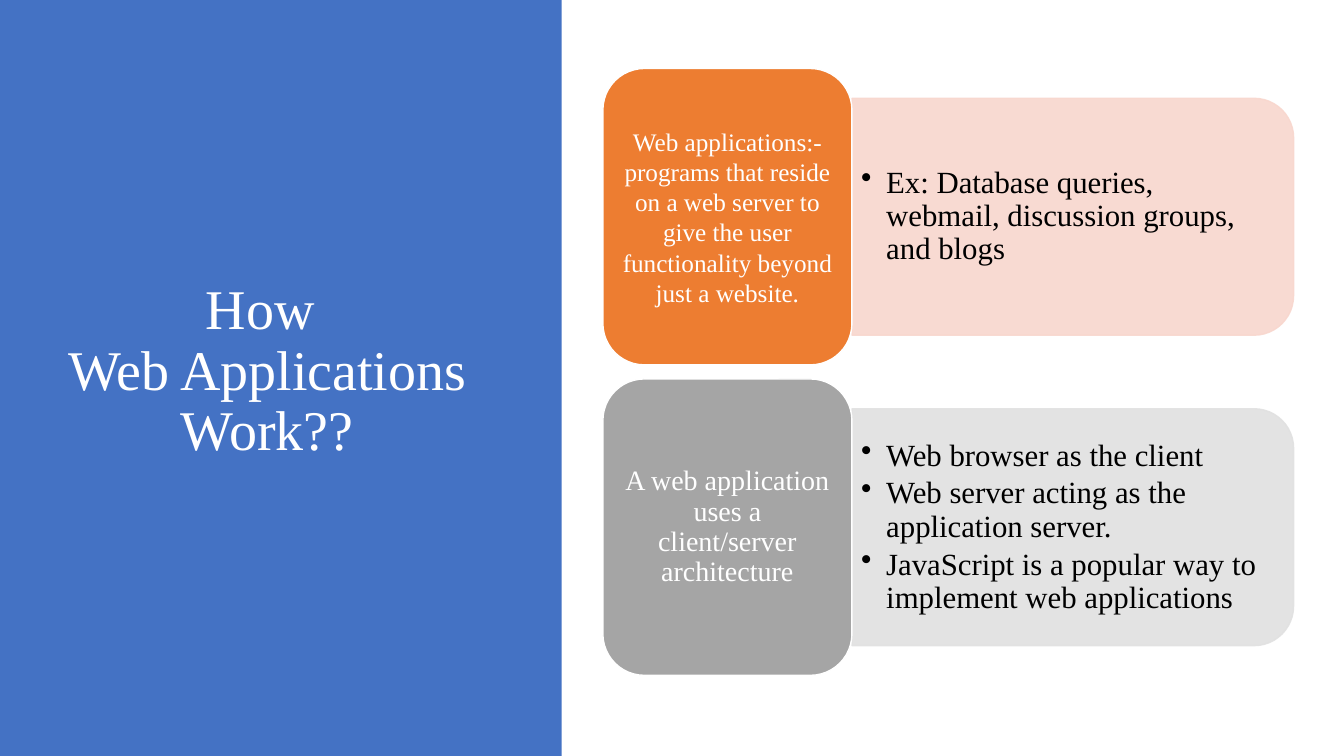
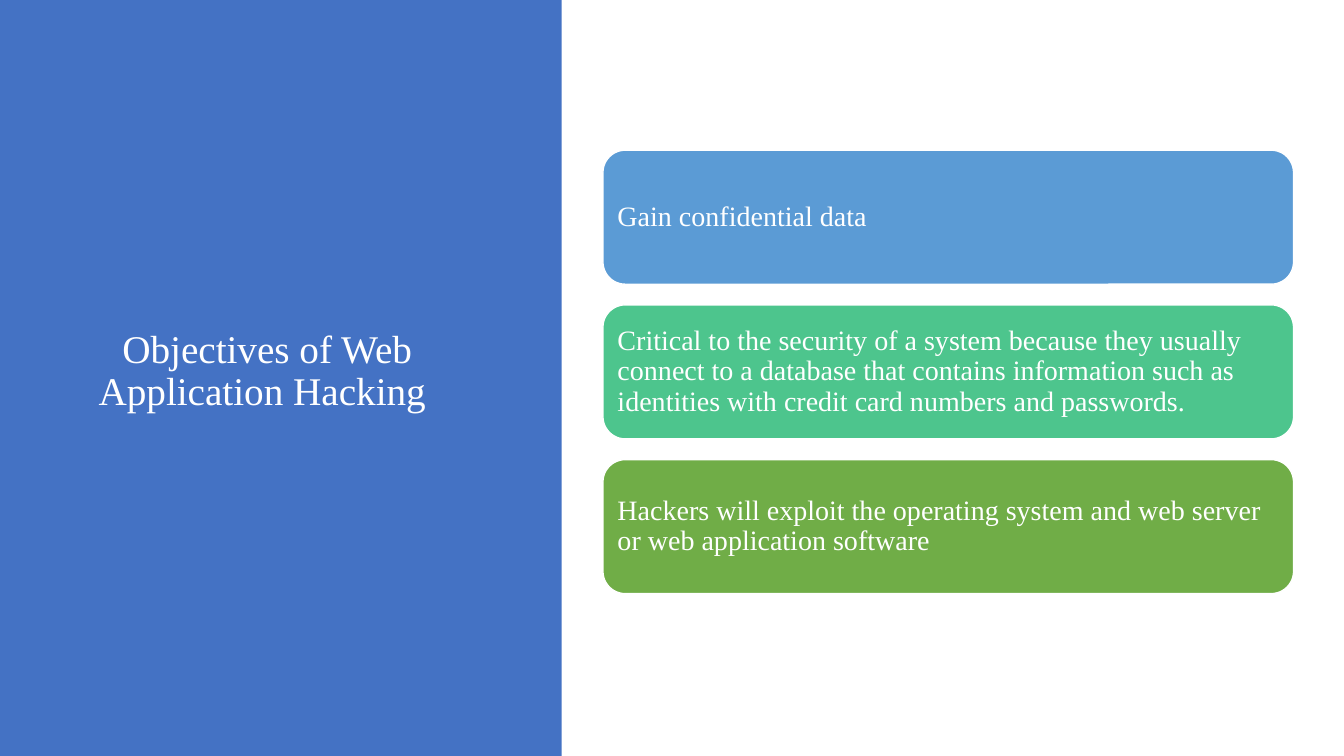
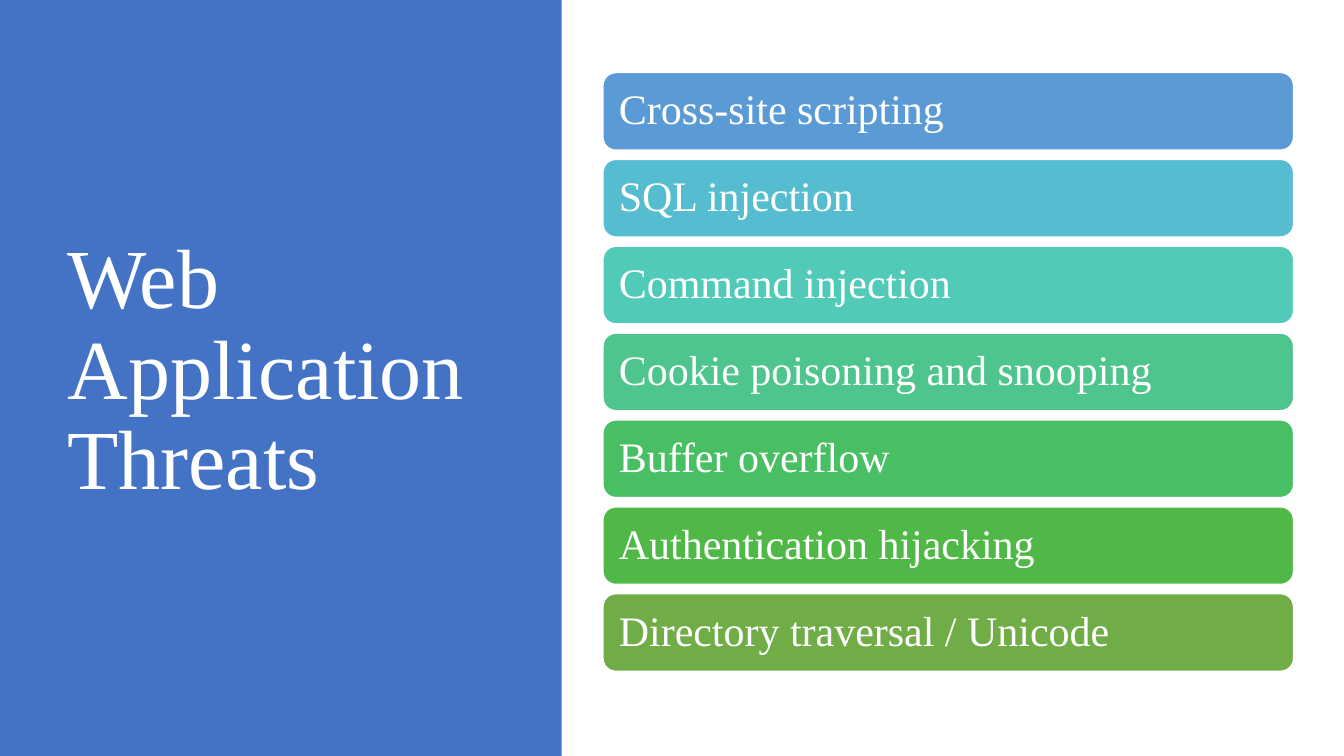
from pptx import Presentation
from pptx.dml.color import RGBColor as Rgb
from pptx.enum.shapes import MSO_SHAPE as Kind
from pptx.enum.text import MSO_ANCHOR as Anchor, PP_ALIGN as Align
from pptx.oxml.ns import qn
from pptx.util import Inches, Pt
from lxml.etree import SubElement as Sub

HUES = {
    "white": "FFFFFF", "black": "000000", "panel": "4472C4",
    "orange": "ED7D31", "peach": "F8D7CE", "gray": "A5A5A5", "silver": "E1E1E1",
    "blue": "5B9BD5", "cyan": "56BCD0", "aqua": "52CAB8", "mint": "4DC58D",
    "green": "49BF64", "leaf": "50B846", "olive": "70AD47",
}
FONT = "Times New Roman"


class Deck:
    def __init__(self):
        self.prs = Presentation()
        self.prs.slide_width, self.prs.slide_height = Inches(13.33), Inches(7.5)

    def page(self, title, size, align=Align.CENTER):
        """Start a slide with the blue side panel and its title."""
        self.slide = self.prs.slides.add_slide(self.prs.slide_layouts[6])
        self.shape(Kind.RECTANGLE, (0, 0, 5.57, 7.5), "panel")
        self.label((0.57, 0.68, 4.16, 6.02), [title], size, "white", align, (0.1, 0.05))

    def shape(self, kind, at, fill, line=None):
        shape = self.slide.shapes.add_shape(kind, *map(Inches, at))
        shape.shadow.inherit = False
        shape.fill.solid()
        shape.fill.fore_color.rgb = Rgb.from_string(HUES[fill])
        if line:
            shape.line.color.rgb = Rgb.from_string(HUES[line])
            shape.line.width = Pt(1)
        else:
            shape.line.fill.background()
        return shape

    def set_text(self, shape, lines, size, hue, align, pad, space=0.9, bullet=False):
        frame = shape.text_frame
        frame.word_wrap = True
        frame.vertical_anchor = Anchor.MIDDLE
        frame.margin_left = frame.margin_right = Inches(pad[0])
        frame.margin_top = frame.margin_bottom = Inches(pad[1])
        for i, line in enumerate(lines):
            para = frame.add_paragraph() if i else frame.paragraphs[0]
            para.text = line
            para.alignment = align
            para.line_spacing = space
            if bullet:
                para.space_after = Pt(0.15 * size)
                props = para._p.get_or_add_pPr()
                props.set("marL", str(Inches(0.25)))
                props.set("indent", str(-Inches(0.25)))
                Sub(props, qn("a:buChar"), char="•")
            para.font.name = FONT
            para.font.size = Pt(size)
            para.font.color.rgb = Rgb.from_string(HUES[hue])

    def label(self, at, *text, **style):
        box = self.slide.shapes.add_textbox(*map(Inches, at))
        self.set_text(box, *text, **style)

    def tile(self, at, fill, text, size, align, pad, space=0.9):
        tile = self.shape(Kind.ROUNDED_RECTANGLE, at, fill, "white")
        self.set_text(tile, [text], size, "white", align, pad, space)

    def flap(self, left, mid, wide, high, fill):
        """Draw a bar with round right corners, centred on the height mid."""
        at = (left + (wide - high) / 2, mid - wide / 2, high, wide)
        flap = self.shape(Kind.ROUND_2_SAME_RECTANGLE, at, fill, fill)
        flap.rotation = 90
        for hue in list(flap._element.spPr.iter(qn("a:srgbClr"))):
            Sub(hue, qn("a:alpha"), val="90000")

    def pair(self, top, fills, head, size, pad, space, points):
        """Draw a heading tile with its bulleted flap to the right."""
        left, wide, high = 5.98, 2.47, 2.94
        edge, mid = left + wide, top + high / 2
        self.flap(edge, mid, 4.38, 2.35, fills[1])
        self.label((edge, mid - 1.06, 4.27, 2.12), points, 22, "black",
                   Align.LEFT, (0.09, 0.05), bullet=True)
        self.tile((left, top, wide, high), fills[0], head, size, Align.CENTER, pad, space)

    def stack(self, top, end, high, size, pad, rows):
        """Spread full-width tiles evenly, the last one starting at end."""
        step = (end - top) / (len(rows) - 1)
        for i, (fill, text) in enumerate(rows):
            self.tile((5.98, top + i * step, 6.85, high), fill, text, size,
                      Align.LEFT, (pad, pad))


def main():
    deck = Deck()

    deck.page("How \vWeb Applications Work??", 40)
    deck.pair(0.68, ("orange", "peach"),
              "Web applications:- programs that reside on a web server to give "
              "the user functionality beyond just a website.",
              18, (0.07, 0.04), 1.0,
              ["Ex: Database queries, webmail, discussion groups, and blogs"])
    deck.pair(3.76, ("gray", "silver"),
              "A web application uses a client/server architecture",
              20, (0.08, 0.04), 0.9,
              ["Web browser as the client",
               "Web server acting as the application server.",
               "JavaScript is a popular way to implement web applications"])

    deck.page("Objectives of Web Application Hacking ", 28)
    deck.stack(1.49, 4.56, 1.33, 20, 0.08, [
        ("blue", "Gain confidential data"),
        ("mint", "Critical to the security of a system because they usually connect "
                 "to a database that contains information such as identities with "
                 "credit card numbers and passwords."),
        ("olive", "Hackers will exploit the operating system and web server "
                  "or web application software"),
    ])

    deck.page("Web Application Threats", 60, Align.LEFT)
    deck.stack(0.72, 5.89, 0.77, 30, 0.12, [
        ("blue", "Cross-site scripting"),
        ("cyan", "SQL injection"),
        ("aqua", "Command injection"),
        ("mint", "Cookie poisoning and snooping"),
        ("green", "Buffer overflow"),
        ("leaf", "Authentication hijacking"),
        ("olive", "Directory traversal / Unicode"),
    ])

    deck.prs.save("out.pptx")


if __name__ == "__main__":
    main()
